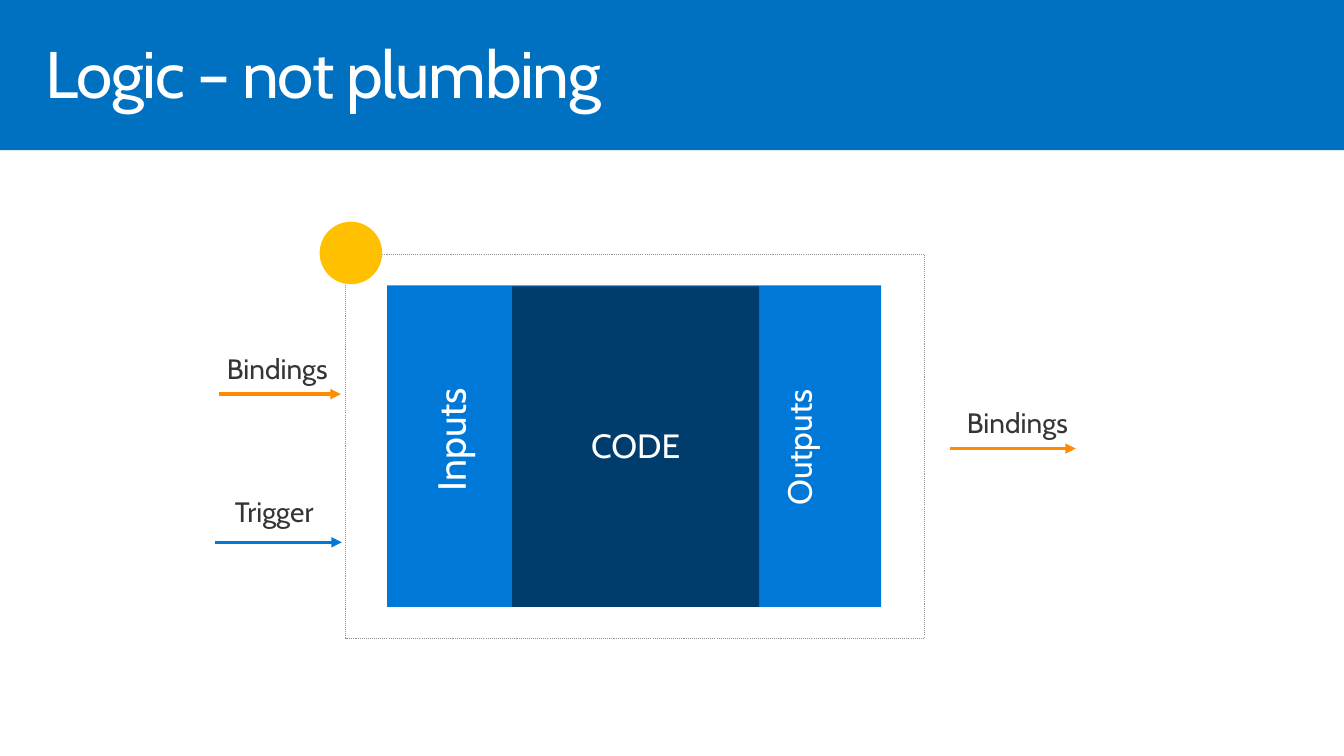
"""Build the slide that shows a function's code between its inputs and outputs."""
from lxml.etree import SubElement
from pptx import Presentation
from pptx.dml.color import RGBColor
from pptx.enum.dml import MSO_LINE
from pptx.enum.shapes import MSO_CONNECTOR, MSO_SHAPE
from pptx.enum.text import MSO_AUTO_SIZE, PP_ALIGN
from pptx.oxml.ns import qn
from pptx.util import Inches, Pt

BLUE, NAVY, ORANGE, AMBER = "0078D7", "003C6C", "FF8C00", "FFC000"
BANNER, BORDER, INK, WHITE = "0070C0", "939393", "353535", "FFFFFF"


def rgb(code):
    return RGBColor.from_string(code)


class Diagram:
    font = "Cabin"

    def __init__(self, slide):
        self.shapes = slide.shapes

    def block(self, left, top, width, height, fill=None, kind=MSO_SHAPE.RECTANGLE):
        block = self.shapes.add_shape(
            kind, Inches(left), Inches(top), Inches(width), Inches(height))
        block.shadow.inherit = False
        if fill:
            block.fill.solid()
            block.fill.fore_color.rgb = rgb(fill)
            block.line.fill.background()
        else:
            block.fill.background()
            block.line.color.rgb = rgb(BORDER)
            block.line.width = Pt(0.75)
            block.line.dash_style = MSO_LINE.ROUND_DOT
        return block

    def text(self, words, left, top, width, height, size, color=WHITE,
             align=PP_ALIGN.CENTER, rotation=0, wrap=False, after=12,
             inset=(0.2, 0.16), shapes=None):
        box = (shapes or self.shapes).add_textbox(
            Inches(left), Inches(top), Inches(width), Inches(height))
        box.rotation = rotation
        frame = box.text_frame
        frame.word_wrap = wrap
        frame.auto_size = MSO_AUTO_SIZE.SHAPE_TO_FIT_TEXT
        frame.margin_left = frame.margin_right = Inches(inset[0])
        frame.margin_top = frame.margin_bottom = Inches(inset[1])
        paragraph = frame.paragraphs[0]
        paragraph.text = words
        paragraph.alignment = align
        paragraph.line_spacing = 0.9
        paragraph.space_after = Pt(after)
        paragraph.font.name = self.font
        paragraph.font.size = Pt(size)
        paragraph.font.color.rgb = rgb(color)
        return paragraph

    def arrow(self, shapes, start, end, y, color):
        arrow = shapes.add_connector(
            MSO_CONNECTOR.STRAIGHT, Inches(start), Inches(y), Inches(end), Inches(y))
        arrow.line.color.rgb = rgb(color)
        arrow.line.width = Pt(2.5)
        SubElement(arrow.line._get_or_add_ln(), qn("a:tailEnd"), type="triangle")
        SubElement(arrow._element.spPr, qn("a:effectLst"))

    def flow(self, words, start, end, y, color, label_at):
        shapes = self.shapes.add_group_shape().shapes
        self.arrow(shapes, start, end, y, color)
        self.text(words, *label_at, 0.62, 20, INK, PP_ALIGN.LEFT, shapes=shapes)


def main():
    deck = Presentation()
    deck.slide_width, deck.slide_height = Inches(13.33), Inches(7.5)
    diagram = Diagram(deck.slides.add_slide(deck.slide_layouts[6]))

    diagram.block(3.43, 2.52, 5.74, 3.81)
    diagram.block(0, 0, 13.33, 1.49, BANNER)
    title = diagram.text("Logic – not plumbing", 0.29, 0.31, 12.74, 0.91, 47,
                         align=PP_ALIGN.LEFT, wrap=True, after=0, inset=(0.16, 0.1))
    title.runs[0].font._element.set("spc", "-100")

    diagram.block(3.84, 2.83, 4.9, 3.19, BLUE)
    diagram.block(5.08, 2.84, 2.45, 3.18, NAVY)

    flows = [
        ("Bindings", 2.17, 3.38, 3.91, ORANGE, (2.05, 3.37, 1.42)),
        ("Trigger", 2.13, 3.39, 5.38, BLUE, (2.13, 4.79, 1.26)),
        ("Bindings", 9.42, 10.67, 4.45, ORANGE, (9.39, 3.91, 1.42)),
    ]
    for flow in flows:
        diagram.flow(*flow)

    diagram.text("Inputs", 3.78, 3.99, 1.43, 0.74, 28, rotation=270)
    diagram.text("Outputs", 7.16, 4.1, 1.57, 0.68, 24, rotation=270)
    diagram.text("CODE", 5.62, 4.1, 1.37, 0.68, 24, wrap=True)
    diagram.block(3.17, 2.2, 0.62, 0.62, AMBER, MSO_SHAPE.OVAL)

    deck.save("out.pptx")


if __name__ == "__main__":
    main()
